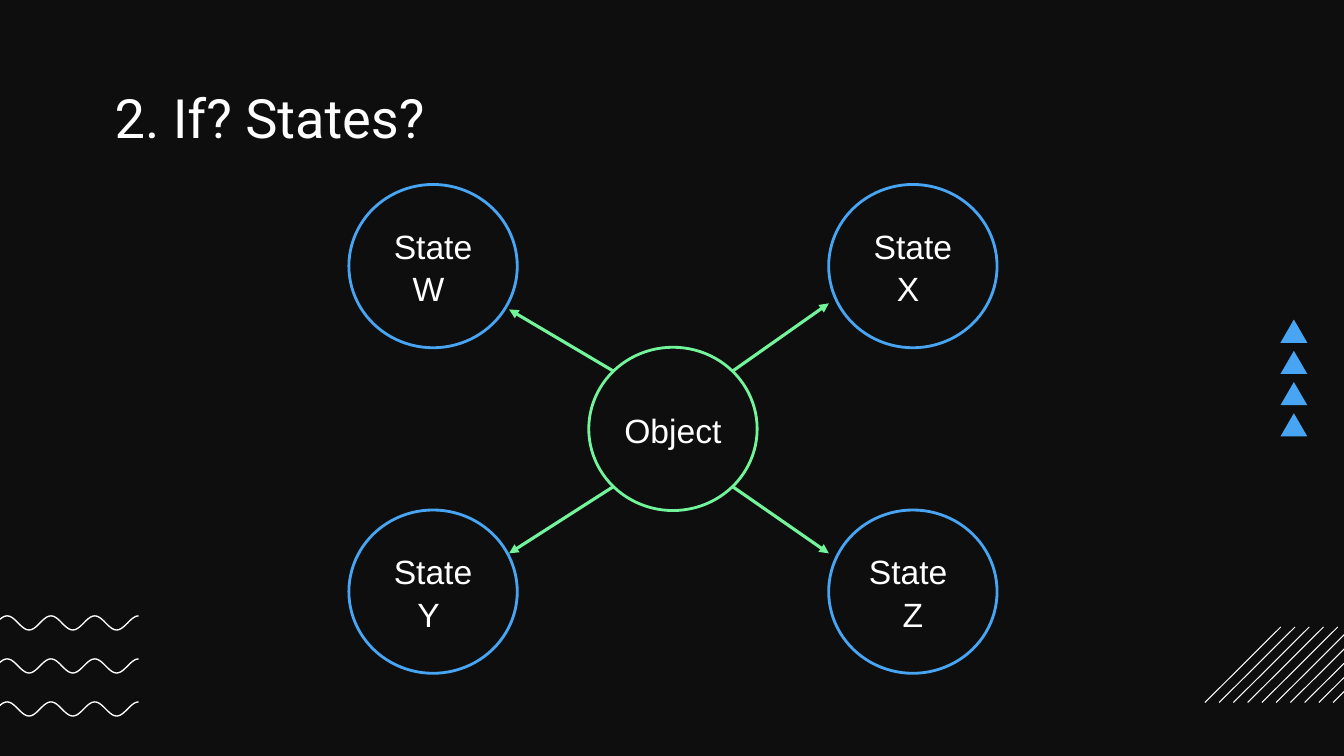
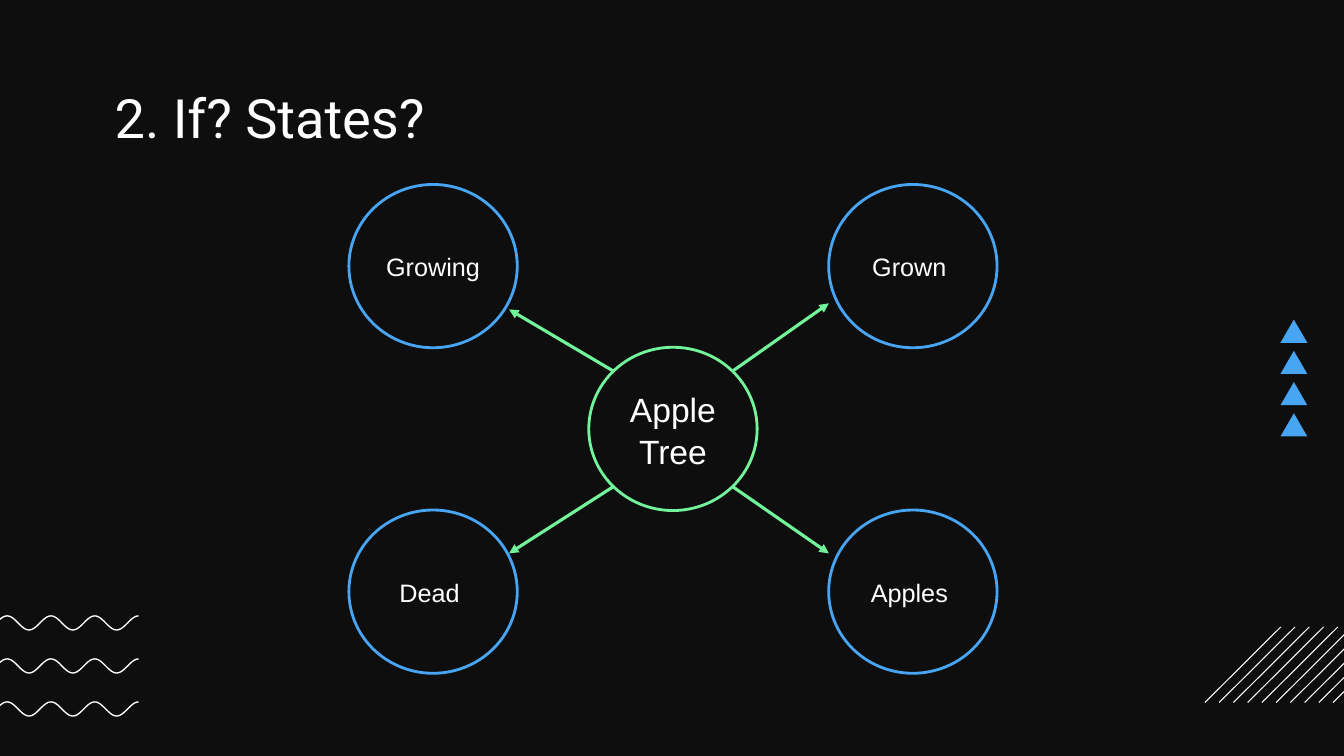
from dataclasses import dataclass
from math import cos, pi, sqrt

from lxml import etree
from pptx import Presentation
from pptx.dml.color import RGBColor
from pptx.enum.shapes import MSO_CONNECTOR, MSO_SHAPE
from pptx.enum.text import MSO_ANCHOR, PP_ALIGN
from pptx.oxml.ns import qn
from pptx.util import Inches, Pt

STRAIGHT = MSO_CONNECTOR.STRAIGHT
ELLIPSE = MSO_SHAPE.OVAL
TRIANGLE = MSO_SHAPE.ISOSCELES_TRIANGLE
TOP, MIDDLE = MSO_ANCHOR.TOP, MSO_ANCHOR.MIDDLE
LEFT, CENTER = PP_ALIGN.LEFT, PP_ALIGN.CENTER


@dataclass(frozen=True)
class Theme:
    background: RGBColor = RGBColor(0x0E, 0x0E, 0x0E)
    text: RGBColor = RGBColor(0xFF, 0xFF, 0xFF)
    blue: RGBColor = RGBColor(0x47, 0xA5, 0xF3)
    green: RGBColor = RGBColor(0x72, 0xF4, 0x9A)
    title_font: str = "Roboto"
    body_font: str = "Arial"
    title_size: float = 38.7
    large: float = 24
    small: float = 18
    line_spacing: float = 1.05
    ring_width: float = 2
    arrow_width: float = 2.25
    wave_width: float = 0.95
    stripe_width: float = 0.75


class Deck:
    COLUMNS = ROWS = 100
    RING_LEFT, RING_TOP = 25.96, 24.4
    RING_WIDTH, RING_HEIGHT = 12.53, 21.6
    RING_STEP_X, RING_STEP_Y = 17.85, 21.53

    def __init__(self, theme):
        self.theme = theme
        self.prs = Presentation()
        self.prs.slide_width = Inches(13.33)
        self.prs.slide_height = Inches(7.5)
        fill = self.prs.slide_master.background.fill
        fill.solid()
        fill.fore_color.rgb = theme.background
        self.s = None

    def x(self, columns):
        return round(self.prs.slide_width * columns / self.COLUMNS)

    def y(self, rows):
        return round(self.prs.slide_height * rows / self.ROWS)

    def box(self, left, top, width, height):
        return self.x(left), self.y(top), self.x(width), self.y(height)

    def new_slide(self, title):
        self.s = self.prs.slides.add_slide(self.prs.slide_layouts[6])
        for i in range(3):
            self.wave(10.31, 81.47 + 5.69 * i)
        for i in range(4):
            self.triangle(95.27, 42.27 + 4.13 * i)
        for i in range(10):
            foot = 89.65 + 1.06 * i
            self.line((foot + 5.65, 82.93), (foot, 92.93),
                      self.theme.text, self.theme.stripe_width)
        self.title(title)

    def wave(self, right, top, halves=7, half=1.63, height=1.87, steps=10):
        points = [
            (self.x(right - half * i / steps),
             self.y(top + height * (1 - cos(pi * i / steps)) / 2))
            for i in range(halves * steps + 1)
        ]
        builder = self.s.shapes.build_freeform(*points[0])
        builder.add_line_segments(points[1:], close=False)
        sp = builder.convert_to_shape()
        sp.shadow.inherit = False
        sp.fill.background()
        sp.line.color.rgb = self.theme.text
        sp.line.width = Pt(self.theme.wave_width)

    def triangle(self, left, top):
        sp = self.s.shapes.add_shape(TRIANGLE, *self.box(left, top, 2, 3.07))
        sp.shadow.inherit = False
        sp.fill.solid()
        sp.fill.fore_color.rgb = self.theme.blue
        sp.line.fill.background()

    def line(self, start, end, color, width, arrow=False):
        sp = self.s.shapes.add_connector(
            STRAIGHT, self.x(start[0]), self.y(start[1]),
            self.x(end[0]), self.y(end[1]))
        sp.line.color.rgb = color
        sp.line.width = Pt(width)
        properties = sp.element.spPr
        if arrow:
            tail = etree.SubElement(properties.find(qn("a:ln")),
                                    qn("a:tailEnd"))
            tail.set("type", "triangle")
        etree.SubElement(properties, qn("a:effectLst"))

    def put_text(self, sp, paragraphs, font, size, align, anchor, spacing=1.0):
        tf = sp.text_frame
        tf.word_wrap = True
        tf.vertical_anchor = anchor
        for i, text in enumerate(paragraphs):
            p = tf.add_paragraph() if i else tf.paragraphs[0]
            p.alignment = align
            p.line_spacing = spacing
            r = p.add_run()
            r.text = text
            r.font.name = font
            r.font.size = Pt(size)
            r.font.color.rgb = self.theme.text

    def title(self, text):
        sp = self.s.shapes.add_textbox(*self.box(7.8, 10.4, 84.4, 8.13))
        sp.text_frame.margin_top = self.y(0.8)
        self.put_text(sp, [text], self.theme.title_font,
                      self.theme.title_size, LEFT, TOP)

    def ring(self, column, row, paragraphs, color, size):
        sp = self.s.shapes.add_shape(ELLIPSE, *self.box(
            self.RING_LEFT + column * self.RING_STEP_X,
            self.RING_TOP + row * self.RING_STEP_Y,
            self.RING_WIDTH, self.RING_HEIGHT))
        sp.shadow.inherit = False
        sp.fill.background()
        sp.line.color.rgb = color
        sp.line.width = Pt(self.theme.ring_width)
        self.put_text(sp, paragraphs, self.theme.body_font, size,
                      CENTER, MIDDLE, self.theme.line_spacing)

    def arrow(self, column, row, tip):
        side_x, side_y = column - 1, row - 1
        center_x = self.RING_LEFT + self.RING_STEP_X + self.RING_WIDTH / 2
        center_y = self.RING_TOP + self.RING_STEP_Y + self.RING_HEIGHT / 2
        start = (center_x + side_x * self.RING_WIDTH / sqrt(8),
                 center_y + side_y * self.RING_HEIGHT / sqrt(8))
        self.line(start, tip, self.theme.green, self.theme.arrow_width, True)

    def state_map(self, center, states, size):
        self.ring(1, 1, center, self.theme.green, self.theme.large)
        for (column, row), paragraphs in states.items():
            self.ring(column, row, paragraphs, self.theme.blue, size)
        for (column, row), tip in ARROW_TIPS.items():
            self.arrow(column, row, tip)


ARROW_TIPS = {
    (2, 0): (61.67, 40.13),
    (2, 2): (61.67, 73.2),
    (0, 2): (37.88, 73.2),
    (0, 0): (37.88, 40.93),
}


def main():
    theme = Theme()
    deck = Deck(theme)

    deck.new_slide("2. If? States?")
    deck.state_map(["Object"], {
        (2, 0): ["State", "X "],
        (0, 2): ["State", "Y "],
        (0, 0): ["State", "W "],
        (2, 2): ["State ", "Z"],
    }, theme.large)

    deck.new_slide("2. If? States?")
    deck.state_map(["Apple Tree"], {
        (2, 0): ["Grown "],
        (0, 2): ["Dead "],
        (0, 0): ["Growing "],
        (2, 2): ["Apples "],
    }, theme.small)

    deck.prs.save("out.pptx")


if __name__ == "__main__":
    main()
